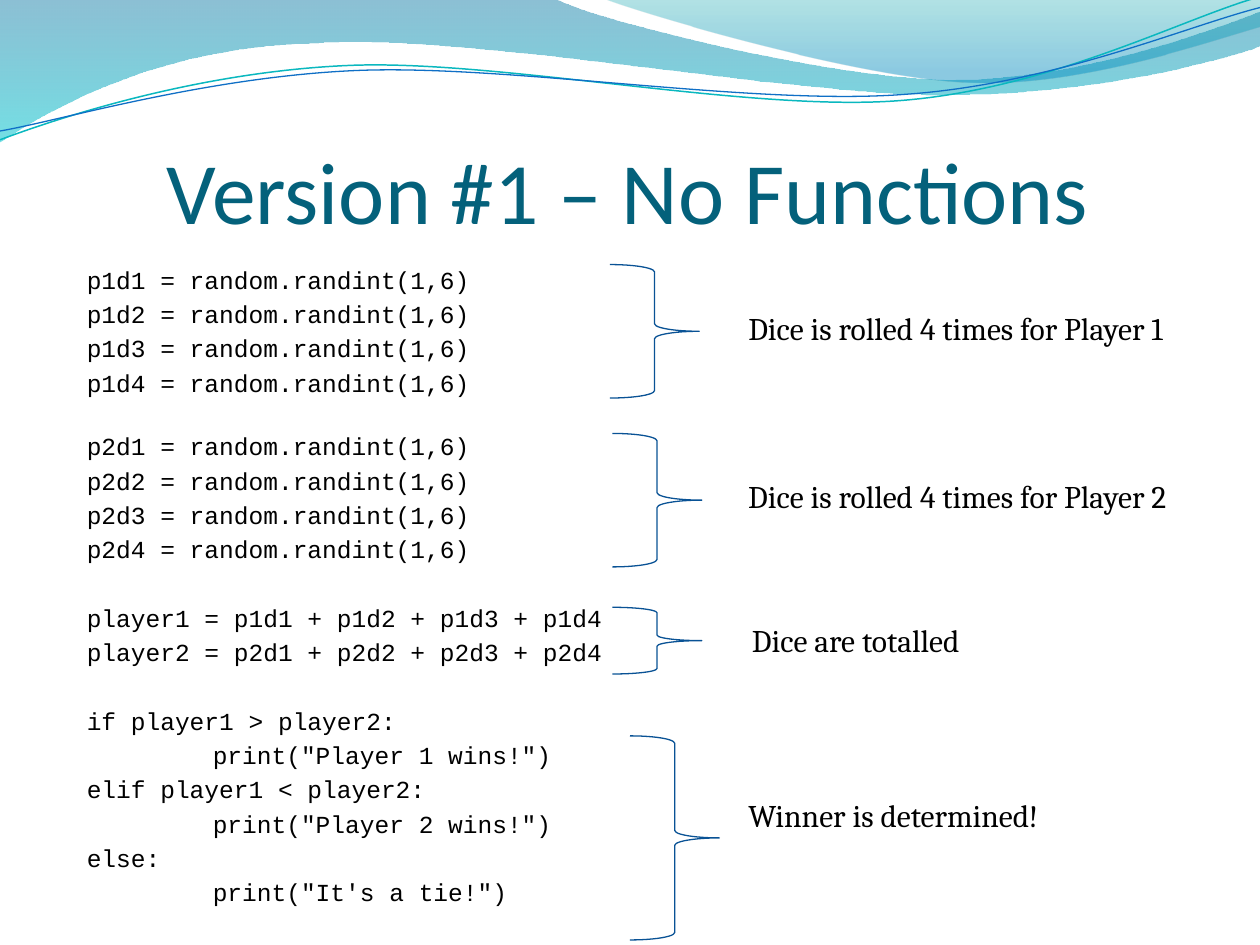
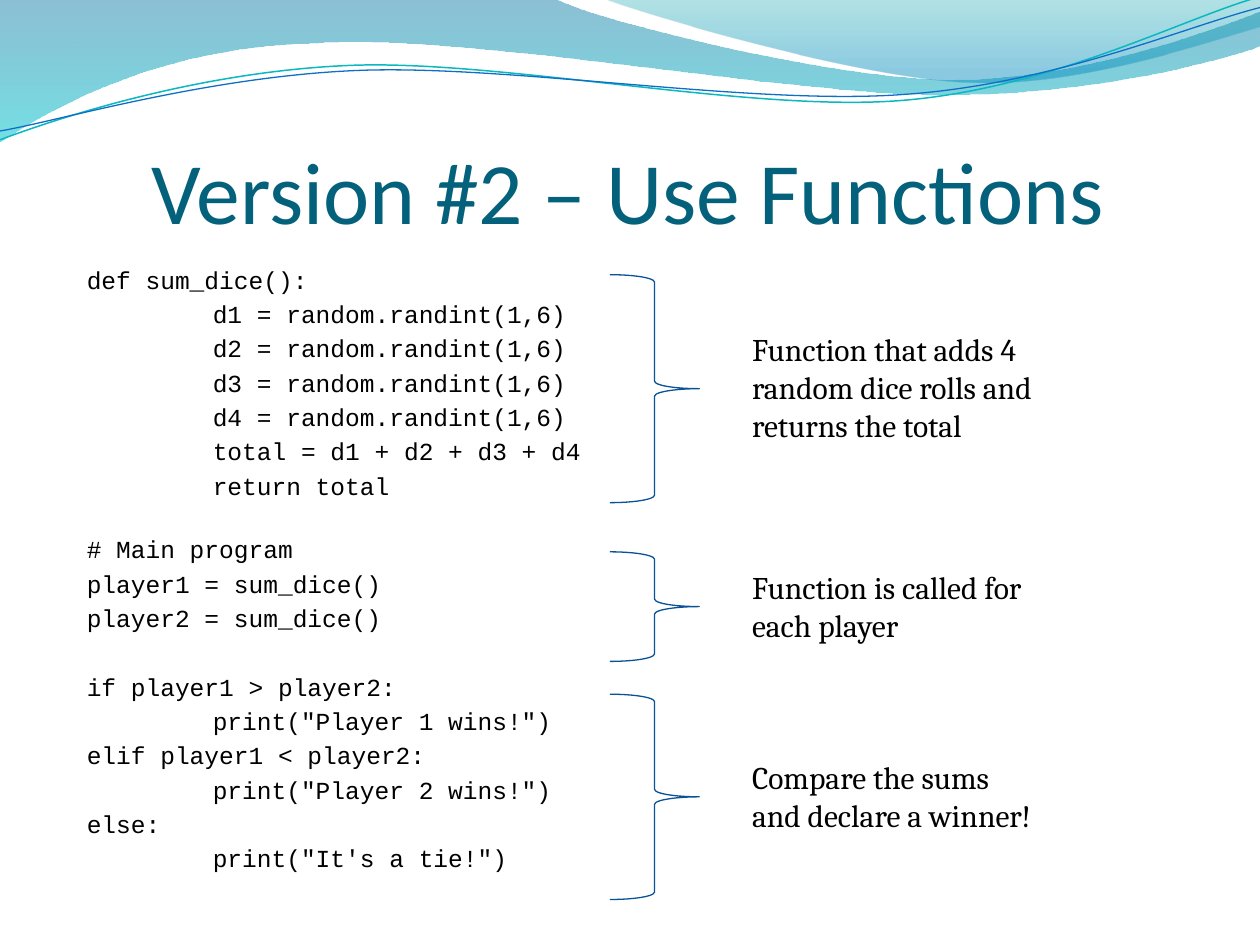
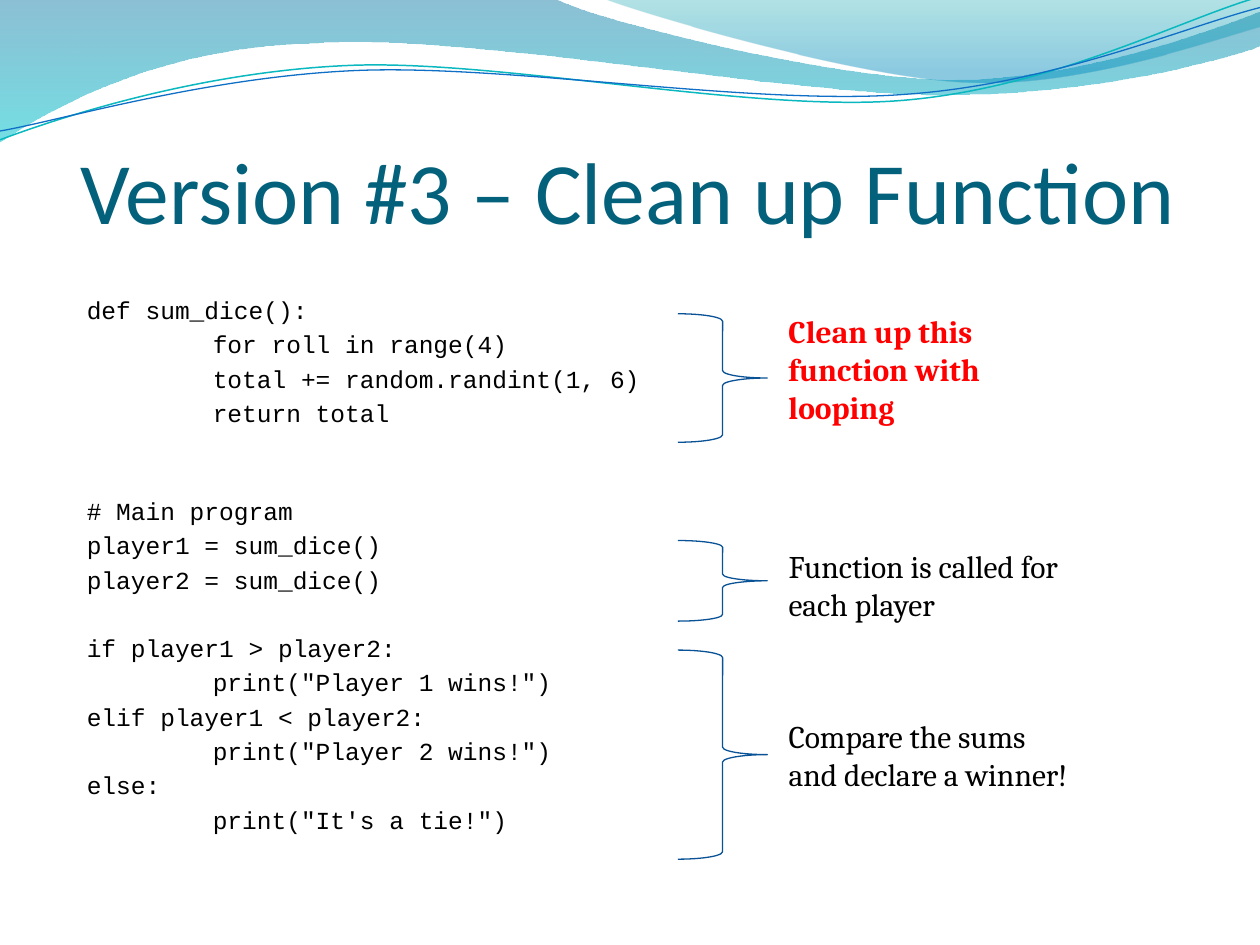
from typing import NamedTuple

from lxml import etree
from pptx import Presentation
from pptx.dml.color import RGBColor
from pptx.enum.shapes import MSO_SHAPE
from pptx.enum.text import MSO_ANCHOR, MSO_AUTO_SIZE, PP_ALIGN
from pptx.oxml.ns import qn
from pptx.util import Pt

# Scale: 100 px to the inch
PX = 9144
SLIDE_W, SLIDE_H = 1000, 750

# Enum members
RIGHT_BRACE = MSO_SHAPE.RIGHT_BRACE
BOTTOM = MSO_ANCHOR.BOTTOM
CENTER = PP_ALIGN.CENTER
GROW = MSO_AUTO_SIZE.SHAPE_TO_FIT_TEXT

# Colours and fonts
BLACK = RGBColor(0x00, 0x00, 0x00)
RED = RGBColor(0xFF, 0x00, 0x00)
TITLE_TEAL = RGBColor(0x04, 0x61, 0x7B)
BRACE_BLUE = RGBColor(0x09, 0x52, 0x95)
DEEP_BLUE = RGBColor(0x00, 0x74, 0xA1)
TURQUOISE = RGBColor(0x00, 0xC6, 0xCF)
SEA_GREEN = RGBColor(0x00, 0xA1, 0xA9)
SKY_BLUE = RGBColor(0x00, 0x8B, 0xBF)
LINE_TEAL = RGBColor(0x0A, 0xB8, 0xBF)
LINE_BLUE = RGBColor(0x0F, 0x6F, 0xC6)
TITLE_FONT, CODE_FONT, NOTE_FONT = "Calibri", "Courier New", "Cambria"

# Code rhythm: points, then px
CODE_SIZE = 14
CODE_LEADING = 16.8
CODE_SPACE = 2.8
BLANK_LINE = CODE_LEADING + CODE_SPACE
CODE_TOP = 32
CODE_TAB = 100

BRACE_W = 71


class Stop(NamedTuple):
    position: float
    color: RGBColor
    opacity: int


class Band(NamedTuple):
    start: tuple[int, int]
    segments: list[tuple[int, ...]]  # 2 numbers: line, 6 numbers: cubic curve
    stops: tuple[Stop, Stop]


class Ripple(NamedTuple):
    start: tuple[int, int]
    segments: list[tuple[int, ...]]
    color: RGBColor
    width: float


class Block(NamedTuple):
    gap: float  # points above the block
    lines: list[str]


class Brace(NamedTuple):
    x: int
    y: int
    h: int


class Note(NamedTuple):
    x: int
    y: int
    w: int
    h: int
    text: str
    color: RGBColor = BLACK
    bold: bool = False


class Page(NamedTuple):
    title: str
    code_y: int
    code_h: int
    blocks: list[Block]
    braces: list[Brace]
    notes: list[Note]


# Header waves
BANDS = [
    Band((0, 0), [(440, -1), (476, 17, 664, 63, 758, 63), (853, 63, 958, 26, 1000, 9),
                  (1001, 36), (983, 44, 870, 76, 746, 75), (622, 75, 382, 28, 257, 34),
                  (129, 36, 46, 83, -1, 113)],
         (Stop(0, DEEP_BLUE, 45), Stop(1, TURQUOISE, 55))),
    Band((479, -1), [(509, 11, 682, 62, 769, 65), (856, 69, 961, 32, 1000, 21), (1000, 0)],
         (Stop(0, SEA_GREEN, 30), Stop(0.8, SKY_BLUE, 45))),
]
RIPPLES = [
    Ripple((0, 111), [(48, 93, 158, 57, 277, 52), (395, 47, 593, 89, 713, 80),
                      (833, 71, 938, 15, 998, -2)], LINE_TEAL, 0.85),
    Ripple((0, 104), [(47, 96, 164, 61, 283, 56), (403, 51, 597, 84, 717, 75),
                      (836, 67, 941, 21, 1000, 6)], LINE_BLUE, 0.75),
]

# Code and notes used on several slides
MAIN_LINES = ["# Main program", "player1 = sum_dice()", "player2 = sum_dice()"]
WINNER = Block(BLANK_LINE, [
    "if player1 > player2:", '\tprint("Player 1 wins!")',
    "elif player1 < player2:", '\tprint("Player 2 wins!")',
    "else:", '\tprint("It\'s a tie!")'])
CALLED = "Function is called for each player"
COMPARE = "Compare the sums and declare a winner!"


def roll_lines(prefix: str) -> list[str]:
    return [f"{prefix}d{n} = random.randint(1,6)" for n in range(1, 5)]


PAGES = [
    Page("Version #1 – No Functions", 178, 559,
         [Block(0, roll_lines("p1")),
          Block(CODE_LEADING, roll_lines("p2")),
          Block(BLANK_LINE, ["player1 = p1d1 + p1d2 + p1d3 + p1d4",
                             "player2 = p2d1 + p2d2 + p2d3 + p2d4"]),
          WINNER],
         [Brace(484, 210, 106), Brace(486, 344, 106), Brace(486, 482, 53),
          Brace(500, 584, 162)],
         [Note(584, 240, 388, 40, "Dice is rolled 4 times for Player 1"),
          Note(584, 374, 404, 40, "Dice is rolled 4 times for Player 2"),
          Note(587, 488, 404, 40, "Dice are totalled"),
          Note(584, 627, 349, 40, "Winner is determined!")]),
    Page("Version #2 – Use Functions", 178, 559,
         [Block(0, ["def sum_dice():", *[f"\t{line}" for line in roll_lines("")],
                    "\ttotal = d1 + d2 + d3 + d4", "\treturn total"]),
          Block(CODE_LEADING, MAIN_LINES),
          WINNER],
         [Brace(484, 218, 181), Brace(484, 438, 87), Brace(484, 551, 163)],
         [Note(587, 257, 252, 101,
               "Function that adds 4 random dice rolls and returns the total"),
          Note(587, 446, 252, 71, CALLED),
          Note(587, 597, 252, 71, COMPARE)]),
    Page("Version #3 – Clean up Function", 202, 472,
         [Block(0, ["def sum_dice():", "\tfor roll in range(4)",
                    "\ttotal += random.randint(1, 6)", "\treturn total"]),
          Block(CODE_LEADING + BLANK_LINE, MAIN_LINES),
          WINNER],
         [Brace(538, 249, 102), Brace(538, 429, 64), Brace(538, 516, 166)],
         [Note(616, 243, 183, 101, "Clean up this function with looping", RED, True),
          Note(616, 429, 252, 71, CALLED),
          Note(616, 564, 252, 71, COMPARE)]),
]


def add_outline(s, item: Band | Ripple, close: bool):
    """Draw every point as a line end, then join threes into cubic curves."""
    points = [seg[i:i + 2] for seg in item.segments for i in range(0, len(seg), 2)]
    builder = s.shapes.build_freeform(*item.start, scale=PX)
    builder.add_line_segments(points, close=close)
    sp = builder.convert_to_shape()
    sp.shadow.inherit = False
    ends = iter(list(sp.element.spPr.iter(qn("a:lnTo"))))
    for seg in item.segments:
        first = next(ends)
        if len(seg) == 6:
            curve = etree.Element(qn("a:cubicBezTo"))
            first.addprevious(curve)
            for end in (first, next(ends), next(ends)):
                curve.append(end[0])
                end.getparent().remove(end)
    return sp


def add_band(s, band: Band) -> None:
    sp = add_outline(s, band, True)
    sp.line.fill.background()
    sp.fill.gradient()
    sp.fill.gradient_angle = 270
    for stop, want in zip(sp.fill.gradient_stops, band.stops):
        stop.position = want.position
        stop.color.rgb = want.color
    colors = sp.element.spPr.iter(qn("a:srgbClr"))
    for clr, want in zip(colors, band.stops):
        etree.SubElement(clr, qn("a:alpha")).set("val", str(want.opacity * 1000))


def add_ripple(s, ripple: Ripple) -> None:
    sp = add_outline(s, ripple, False)
    sp.fill.background()
    sp.line.color.rgb = ripple.color
    sp.line.width = Pt(ripple.width)


def add_text_box(s, x: int, y: int, w: int, h: int):
    tf = s.shapes.add_textbox(x * PX, y * PX, w * PX, h * PX).text_frame
    tf.word_wrap = True
    return tf


def style(p, font: str, size: int, color: RGBColor) -> None:
    p.font.name = font
    p.font.size = Pt(size)
    p.font.color.rgb = color


def add_title(s, text: str) -> None:
    tf = add_text_box(s, 51, 77, 895, 115)
    tf.vertical_anchor = BOTTOM
    tf.margin_left = tf.margin_right = tf.margin_bottom = 0
    p = tf.paragraphs[0]
    p.text = text
    p.alignment = CENTER
    style(p, TITLE_FONT, 50, TITLE_TEAL)


def set_tab(p, pos: int) -> None:
    """Add a left tab stop; the list must stand before the font defaults."""
    tabs = etree.Element(qn("a:tabLst"))
    etree.SubElement(tabs, qn("a:tab"), pos=str(pos * PX), algn="l")
    p._p.pPr.find(qn("a:defRPr")).addprevious(tabs)


def add_code(s, page: Page) -> None:
    tf = add_text_box(s, 59, page.code_y, 895, page.code_h)
    tf.margin_top = CODE_TOP * PX
    p = tf.paragraphs[0]
    for block in page.blocks:
        for i, line in enumerate(block.lines):
            if p.text:
                p = tf.add_paragraph()
            p.text = line
            p.line_spacing = Pt(CODE_LEADING)
            p.space_before = Pt(CODE_SPACE + (0 if i else block.gap))
            style(p, CODE_FONT, CODE_SIZE, BLACK)
            if line.startswith("\t"):
                set_tab(p, CODE_TAB)


def add_brace(s, brace: Brace) -> None:
    sp = s.shapes.add_shape(RIGHT_BRACE, brace.x * PX, brace.y * PX,
                            BRACE_W * PX, brace.h * PX)
    sp.shadow.inherit = False
    sp.fill.background()
    sp.line.color.rgb = BRACE_BLUE
    sp.line.width = Pt(0.75)


def add_note(s, note: Note) -> None:
    tf = add_text_box(s, note.x, note.y, note.w, note.h)
    tf.auto_size = GROW
    p = tf.paragraphs[0]
    p.text = note.text
    style(p, NOTE_FONT, 18, note.color)
    p.font.bold = note.bold


def add_page(prs, page: Page) -> None:
    s = prs.slides.add_slide(prs.slide_layouts[6])
    for band in BANDS:
        add_band(s, band)
    for ripple in RIPPLES:
        add_ripple(s, ripple)
    add_title(s, page.title)
    add_code(s, page)
    for brace in page.braces:
        add_brace(s, brace)
    for note in page.notes:
        add_note(s, note)


def main() -> None:
    prs = Presentation()
    prs.slide_width, prs.slide_height = SLIDE_W * PX, SLIDE_H * PX
    for page in PAGES:
        add_page(prs, page)
    prs.save("out.pptx")


if __name__ == "__main__":
    main()
